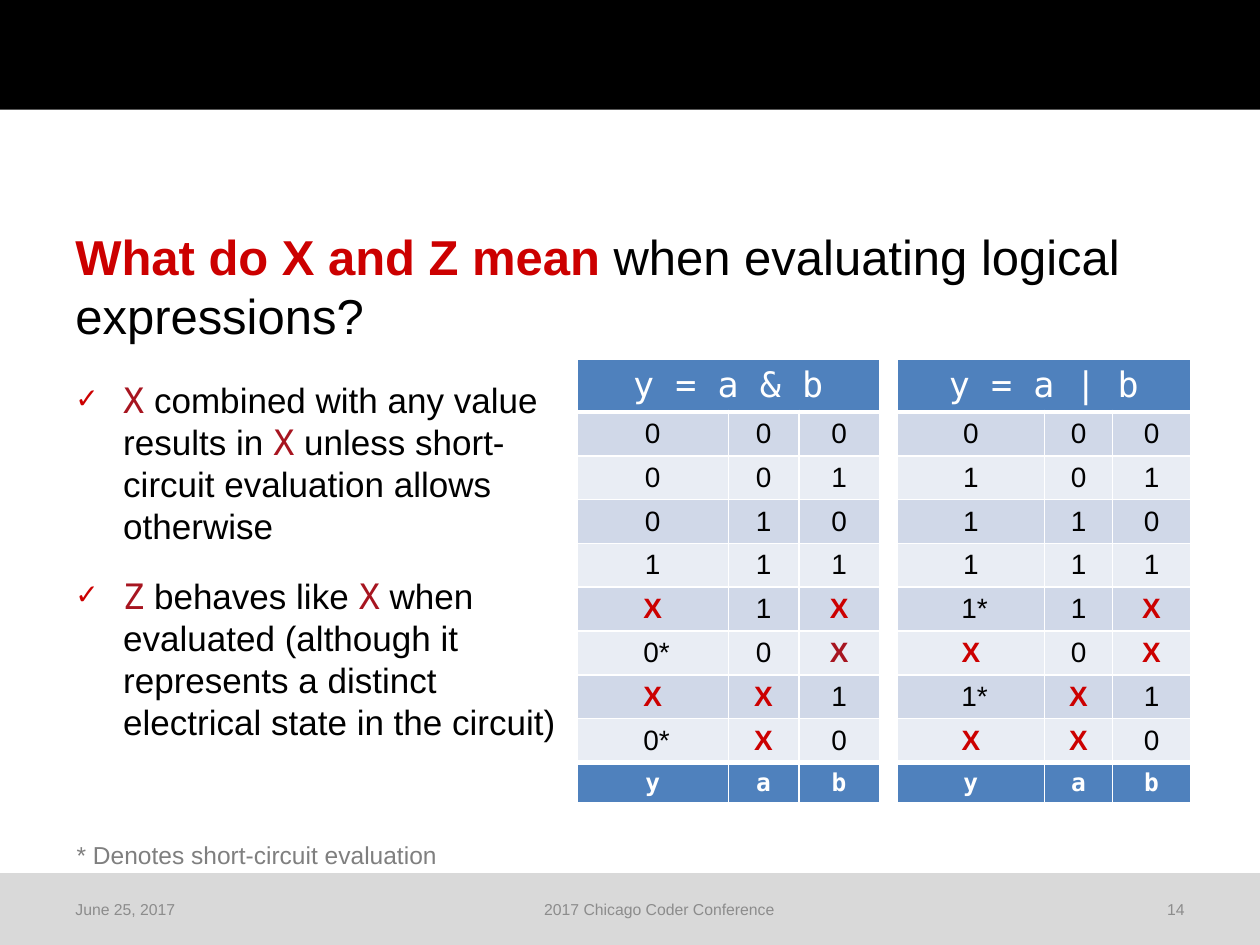
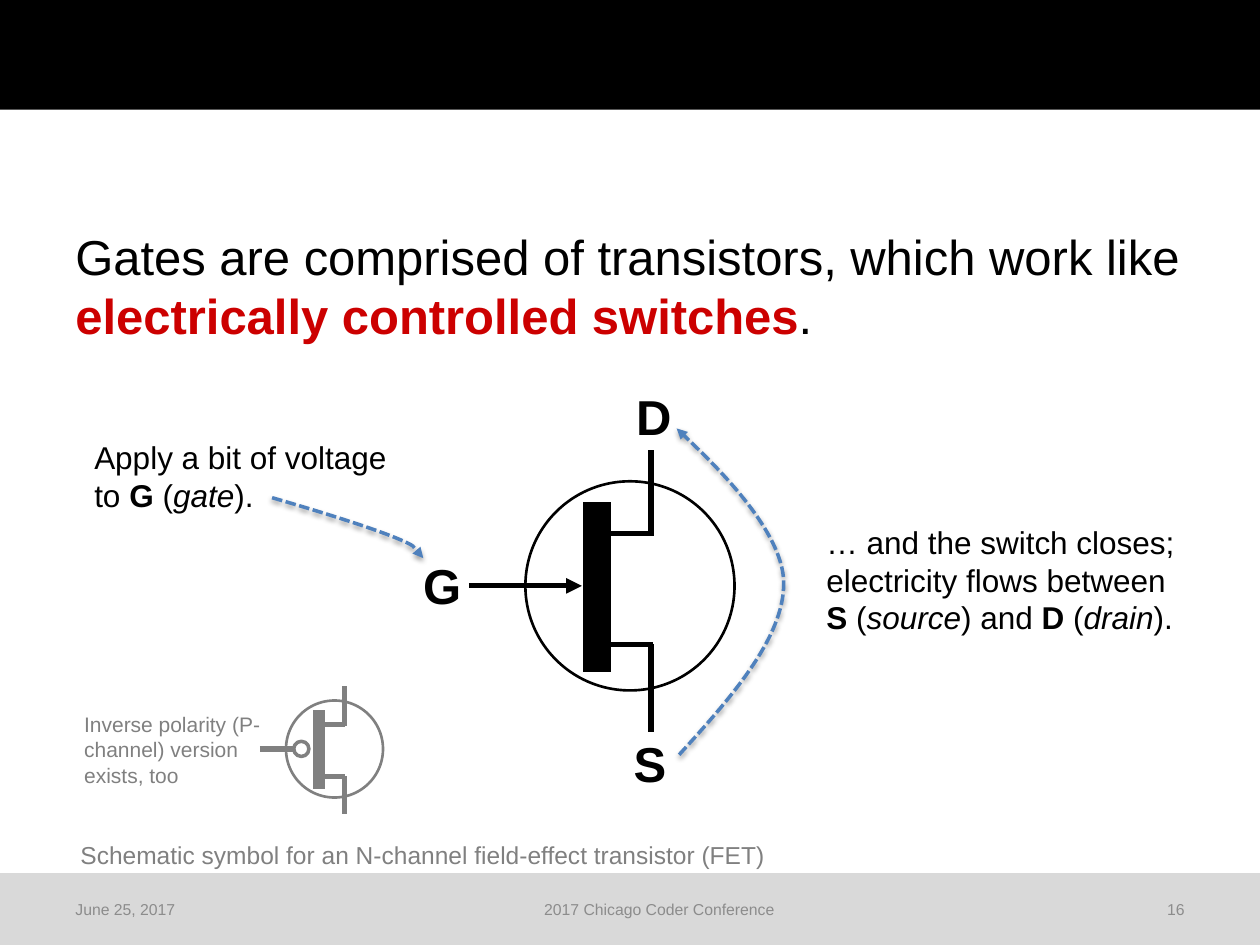
from lxml import etree
from pptx import Presentation
from pptx.dml.color import RGBColor
from pptx.enum import dml, shapes, text
from pptx.oxml.ns import qn
from pptx.util import Inches, Pt

HUES = {
    "black": "000000", "white": "FFFFFF", "red": "CC0000", "wine": "A71520",
    "blue": "4F81BD", "band": "D0D8E8", "pale": "E9EDF4",
    "bar": "D9D9D9", "foot": "8C8C8C", "note": "7F7F7F", "gray": "808080",
}
SANS, MONO = "Arial", "DejaVu Sans Mono"
LEFT, MID, RIGHT = text.PP_ALIGN.LEFT, text.PP_ALIGN.CENTER, text.PP_ALIGN.RIGHT


def hue(name):
    return RGBColor.from_string(HUES[name])


def node(parent, tag, **attrs):
    return etree.SubElement(parent, qn(tag), attrs)


# Text: a run is (words, style letters); b bold, i italic, r red, w wine, m mono
def write(para, runs, size, color="black"):
    for words, marks in runs:
        for n, line in enumerate(words.split("\n")):
            if n:
                para.add_line_break()
            if not line:
                continue
            run = para.add_run()
            run.text = line
            font = run.font
            font.size = Pt(size)
            font.name = MONO if "m" in marks else SANS
            font.bold = "b" in marks
            font.italic = "i" in marks
            tone = "red" if "r" in marks else "wine" if "w" in marks else color
            font.color.rgb = hue(tone)


def label(slide, box, runs, size, color="black", wrap=True, align=LEFT,
          anchor=text.MSO_ANCHOR.TOP):
    frame = slide.shapes.add_textbox(*map(Inches, box)).text_frame
    frame.word_wrap = wrap
    frame.vertical_anchor = anchor
    para = frame.paragraphs[0]
    para.alignment = align
    para.line_spacing = Pt(1.2 * size)
    write(para, runs, size, color)
    return frame


def bullet(frame, runs, gap, size=20):
    para = frame.add_paragraph()
    props = para._p.get_or_add_pPr()
    props.set("marL", str(Inches(0.38)))
    props.set("indent", str(-Inches(0.38)))
    node(node(props, "a:buClr"), "a:srgbClr", val=HUES["red"])
    node(props, "a:buSzPct", val="80000")
    node(props, "a:buFont", typeface=SANS)
    node(props, "a:buChar", char="✓")
    para.space_before = Pt(gap)
    para.line_spacing = Pt(1.2 * size)
    write(para, runs, size)


# Lines and shapes
def shape(slide, kind, box, fill, line=None, width=1.5):
    item = slide.shapes.add_shape(kind, *map(Inches, box))
    item.shadow.inherit = False
    item.fill.solid()
    item.fill.fore_color.rgb = hue(fill)
    if line:
        item.line.color.rgb = hue(line)
        item.line.width = Pt(width)
    else:
        item.line.fill.background()


def tip(item):
    node(item.line._get_or_add_ln(), "a:tailEnd", type="triangle")


def wire(slide, start, end, color, width=3):
    item = slide.shapes.add_connector(
        shapes.MSO_CONNECTOR.STRAIGHT, *map(Inches, (*start, *end)))
    item.line.color.rgb = hue(color)
    item.line.width = Pt(width)
    node(item._element.spPr, "a:effectLst")
    return item


def curve(slide, start, points):
    """Dashed arrow; each three points form one cubic segment."""
    pen = slide.shapes.build_freeform(*map(Inches, start))
    pen.add_line_segments(
        [(Inches(x), Inches(y)) for x, y in points], close=False)
    item = pen.convert_to_shape()
    steps = list(item._element.iter(qn("a:lnTo")))
    for n in range(0, len(steps), 3):
        bend = node(steps[n].getparent(), "a:cubicBezTo")
        for step in steps[n:n + 3]:
            bend.append(step[0])
            step.getparent().remove(step)
    item.fill.background()
    item.line.color.rgb = hue("blue")
    item.line.width = Pt(2)
    item.line.dash_style = dml.MSO_LINE.SQUARE_DOT
    tip(item)
    # Soft shadow below the line
    item.shadow.inherit = False
    glow = node(item._element.spPr.find(qn("a:effectLst")), "a:outerShdw",
                blurRad=str(Pt(3.1)), dist=str(Pt(1.6)), dir="5400000",
                rotWithShape="0")
    tone = node(glow, "a:srgbClr", val=HUES["black"])
    node(tone, "a:alpha", val="38000")


# Shared page: bands, title, footer
def page(deck, title, number):
    slide = deck.slides.add_slide(deck.slide_layouts[6])
    rect = shapes.MSO_SHAPE.RECTANGLE
    shape(slide, rect, (0, 6.93, 10, 0.57), "bar")
    shape(slide, rect, (0, 0, 10, 0.87), "black")
    body = label(slide, (0.5, 1.75, 9, 4.95), title, 28)
    feet = [(0.5, 1.22, "June 25, 2017", LEFT),
            (1.72, 7.06, "2017 Chicago Coder Conference ", MID),
            (8.78, 0.72, number, RIGHT)]
    for x, w, words, align in feet:
        label(slide, (x, 7.02, w, 0.4), [(words, "")], 9, "foot",
              align=align, anchor=text.MSO_ANCHOR.MIDDLE)
    return slide, body


# Truth table
def paint(cell, words, marks, size, fill, color="black", top=1, base=1):
    cell.margin_top = cell.margin_bottom = Inches(0.02)
    cell.vertical_anchor = text.MSO_ANCHOR.MIDDLE
    para = cell.text_frame.paragraphs[0]
    para.alignment = MID
    write(para, [(words, marks)], size, color)
    props = cell._tc.get_or_add_tcPr()
    for side, width in (("L", 1), ("R", 1), ("T", top), ("B", base)):
        edge = node(props, "a:ln" + side, w=str(Pt(width)))
        node(node(edge, "a:solidFill"), "a:srgbClr", val=HUES["white"])
    cell.fill.solid()
    cell.fill.fore_color.rgb = hue(fill)


def truth(slide, box, head, cols, rows):
    last = len(rows) + 1
    grid = slide.shapes.add_table(
        last + 1, len(cols), *map(Inches, box)).table
    for col, width in zip(grid.columns, cols):
        col.width = Inches(width)
    for n, row in enumerate(grid.rows):
        row.height = Inches({0: 0.42, last: 0.32}.get(n, 0.348))
    grid.cell(0, 0).merge(grid.cell(0, len(cols) - 1))
    paint(grid.cell(0, 0), head, "m", 20, "blue", "white", base=3)
    for r, row in enumerate(rows, 1):
        for c, mark in enumerate(row.split()):
            style = {"X": "br", "x": "bw"}.get(mark, "")  # x: darker red
            words = " " + mark if "*" in mark else mark.upper()
            paint(grid.cell(r, c), words, style, 16,
                  "band" if r % 2 else "pale",
                  top=3 if r == 1 else 1, base=3 if r == last - 1 else 1)
    for c, name in enumerate("yab"):
        paint(grid.cell(last, c), name, "bm", 14, "blue", "white", top=3)


def logic(deck):
    slide, body = page(deck, [
        ("What do X and Z mean ", "br"),
        ("when evaluating logical expressions?", "")], "14")
    bullet(body, [
        ("X", "mw"), (" combined with any value\nresults in ", ""),
        ("X", "mw"),
        (" unless short-\ncircuit evaluation allows\notherwise", "")], 19.4)
    bullet(body, [
        ("Z", "mw"), (" behaves like ", ""), ("X", "mw"),
        (" when\nevaluated (although it\nrepresents a distinct\n"
         "electrical state in the circuit)", "")], 16)
    truth(slide, (4.58, 2.85, 2.4, 3.52), "y = a & b", (1.2, 0.56, 0.64),
          ["0 0 0", "0 0 1", "0 1 0", "1 1 1",
           "X 1 X", "0* 0 x", "X X 1", "0* X 0"])
    truth(slide, (7.12, 2.85, 2.33, 3.52), "y = a | b", (1.17, 0.54, 0.62),
          ["0 0 0", "1 0 1", "1 1 0", "1 1 1",
           "1* 1 X", "X 0 X", "1* X 1", "X X 0"])
    label(slide, (0.51, 6.62, 3.08, 0.34),
          [("* Denotes short-circuit evaluation", "")], 14, "note", False)


# Transistor symbol, sized by its circle
def fet(slide, x, y, size, color, bar, inverse=False):
    def at(across, down):
        return x + across * size, y + down * size

    oval = shapes.MSO_SHAPE.OVAL
    shape(slide, oval, (x, y, size, size), "white", color)
    wire(slide, at(0.34, 0.1), at(0.34, 0.91), color, bar)
    for arm, near, far in ((0.25, 0.26, -0.15), (0.78, 0.78, 1.2)):
        far = 1.17 if inverse and far > 1 else far
        wire(slide, at(0.37, arm), at(0.61, arm), color)
        wire(slide, at(0.6, near), at(0.6, far), color)
    gate = wire(slide, at(-0.27, 0.5), at(0.17 if inverse else 0.27, 0.5),
                color)
    if inverse:
        shape(slide, oval, (*at(0.08, 0.42), 0.12, 0.12), "white", color, 2)
    else:
        tip(gate)


def switch(deck):
    slide, _ = page(deck, [
        ("Gates are comprised of transistors, which work like ", ""),
        ("electrically controlled switches", "br"), (".", "")], "16")
    # Captions
    label(slide, (0.65, 3.43, 2.77, 0.71), [
        ("Apply a bit of voltage to ", ""), ("G", "b"), (" (", ""),
        ("gate", "i"), (").", "")], 18)
    label(slide, (6.46, 4.1, 3.04, 1.01), [
        ("… and the switch closes; electricity flows between ", ""),
        ("S", "b"), (" (", ""), ("source", "i"), (") and ", ""),
        ("D", "b"), (" (", ""), ("drain", "i"), (").", "")], 18)
    label(slide, (0.54, 6.62, 5.73, 0.34), [
        ("Schematic symbol for an N-channel field-effect transistor (FET)",
         "")], 14, "gray", False)
    # Main symbol with its pins
    fet(slide, 4.17, 3.82, 1.66, "black", 16)
    for pin, x, y, w in (("S", 4.93, 5.77, 0.46), ("D", 4.95, 3.02, 0.49),
                         ("G", 3.26, 4.36, 0.51)):
        label(slide, (x, y, w, 0.57), [(pin, "b")], 28, wrap=False)
    # Flow arrows
    curve(slide, (2.16, 3.95), [
        (2.54, 4.06), (2.92, 4.18), (3.12, 4.26),
        (3.32, 4.34), (3.36, 4.43), (3.36, 4.43)])
    curve(slide, (5.39, 5.99), [
        (5.81, 5.53), (6.22, 5.06), (6.22, 4.63),
        (6.22, 4.19), (5.37, 3.4), (5.37, 3.4)])
    # Inverse version
    fet(slide, 2.27, 5.56, 0.77, "gray", 6.5, inverse=True)
    label(slide, (0.57, 5.6, 1.8, 0.71), [
        ("Inverse polarity (P-channel) version exists, too", "")], 12, "gray")


def main():
    deck = Presentation()
    deck.slide_width, deck.slide_height = Inches(10), Inches(7.5)
    logic(deck)
    switch(deck)
    deck.save("out.pptx")


if __name__ == "__main__":
    main()
